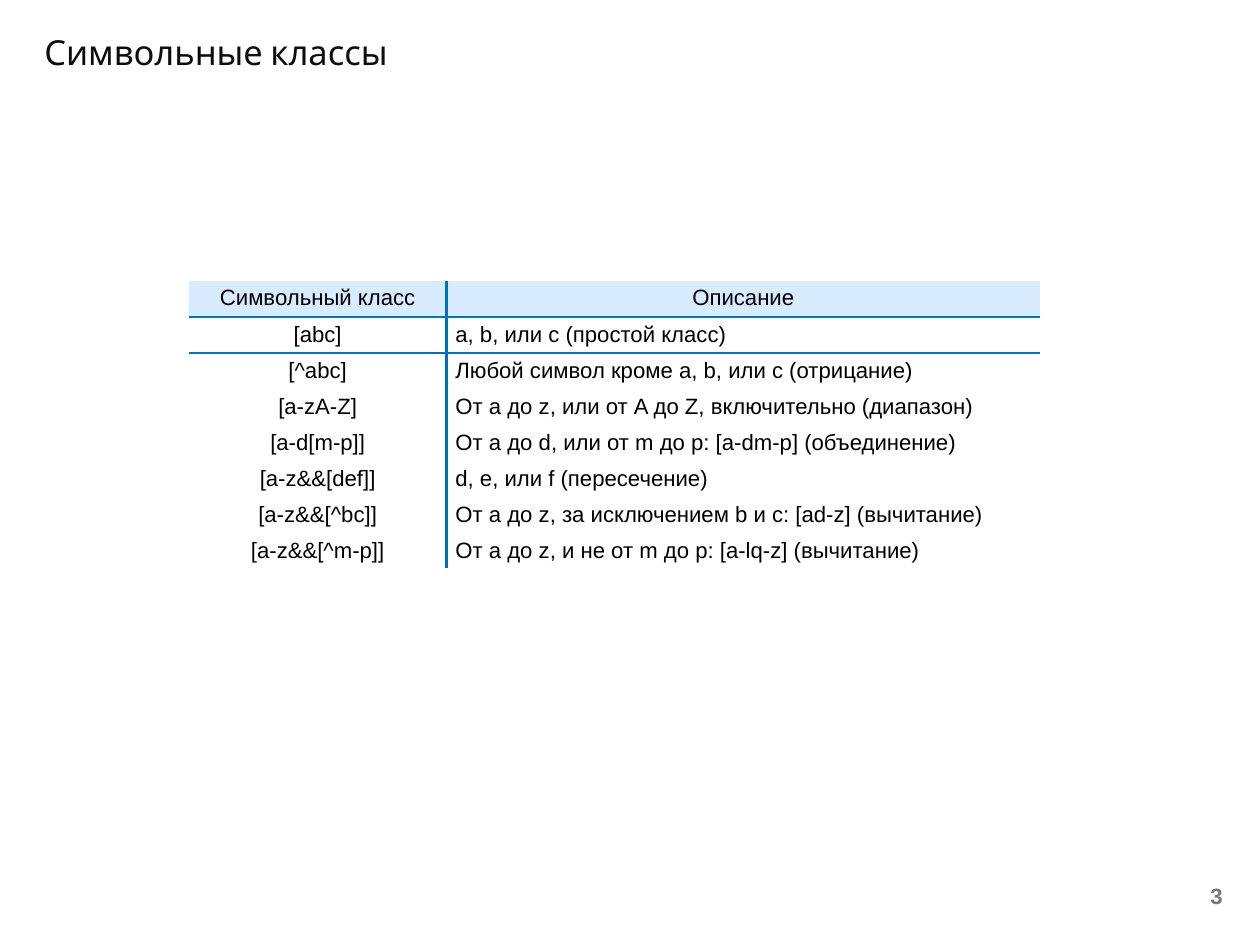
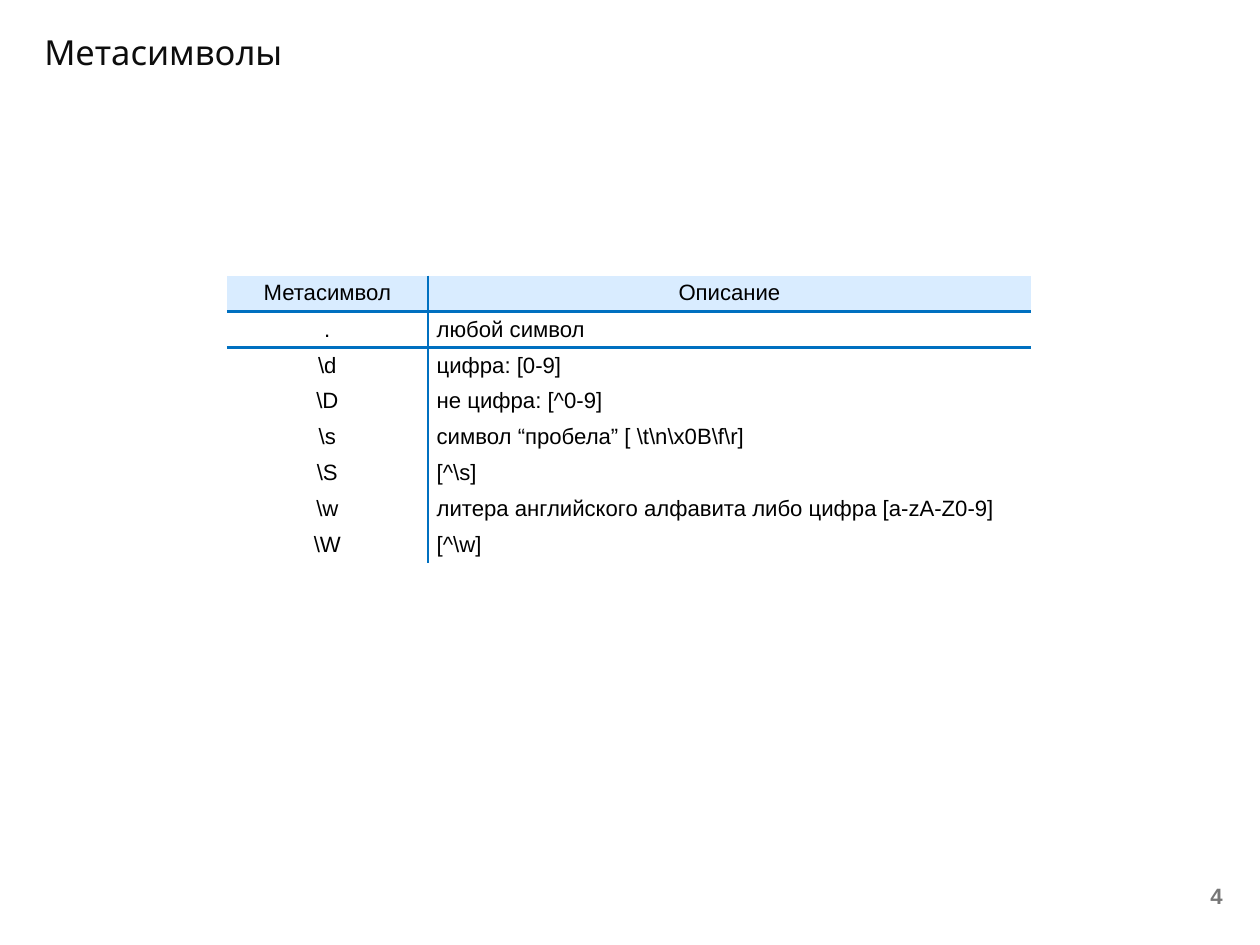
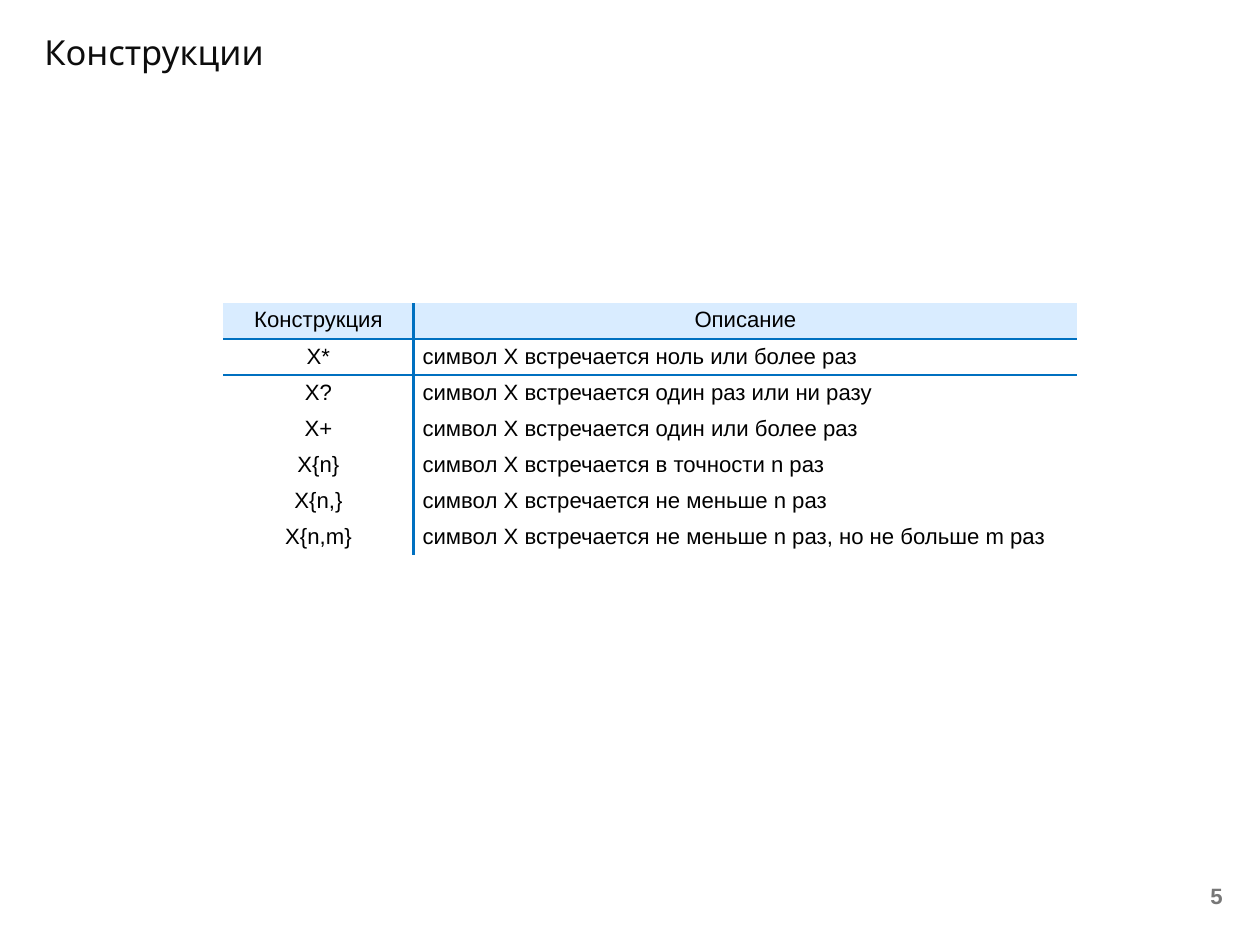
from lxml import etree
from pptx import Presentation
from pptx.dml.color import RGBColor
from pptx.enum.text import MSO_ANCHOR, PP_ALIGN
from pptx.oxml.ns import qn
from pptx.util import Pt

LEFT, CENTER, RIGHT = PP_ALIGN.LEFT, PP_ALIGN.CENTER, PP_ALIGN.RIGHT
TOP, MIDDLE = MSO_ANCHOR.TOP, MSO_ANCHOR.MIDDLE
COLORS = {"title": "0D0D0D", "text": "000000", "number": "777777",
          "header": "D9ECFF", "body": "FFFFFF", "rule": "0070C0"}
TITLE_ONLY = 5
FIRST_NUMBER = 3
ROW_HEIGHT = 29.2
RULE_WIDTH = 2.25
NO_STYLE = "{2D5ABB26-0587-4C30-8999-92F81FD0307C}"

# title, table left and top, column widths, rows with the header first
TOPICS = [
    ("Символьные классы", (153.4, 228.4), (209.5, 482.4), [
        ("Символьный класс", "Описание"),
        ("[abc]", "a, b, или c (простой класс)"),
        ("[^abc]", "Любой символ кроме a, b, или c (отрицание)"),
        ("[a-zA-Z]", "От a до z, или от A до Z, включительно (диапазон)"),
        ("[a-d[m-p]]", "От a до d, или от m до p: [a-dm-p] (объединение)"),
        ("[a-z&&[def]]", "d, e, или f (пересечение)"),
        ("[a-z&&[^bc]]", "От a до z, за исключением b и c: [ad-z] (вычитание)"),
        ("[a-z&&[^m-p]]", "От a до z, и не от m до p: [a-lq-z] (вычитание)"),
    ]),
    ("Метасимволы", (184.3, 223.9), (163.4, 490.3), [
        ("Метасимвол", "Описание"),
        (".", "любой символ"),
        (r"\d", "цифра: [0-9]"),
        (r"\D", "не цифра: [^0-9]"),
        (r"\s", r"символ “пробела” [ \t\n\x0B\f\r]"),
        (r"\S", r"[^\s]"),
        (r"\w", "литера английского алфавита либо цифра [a-zA-Z0-9]"),
        (r"\W", r"[^\w]"),
    ]),
    ("Конструкции", (181.4, 246.4), (154.8, 539.3), [
        ("Конструкция", "Описание"),
        ("X*", "символ X встречается ноль или более раз"),
        ("X?", "символ Х встречается один раз или ни разу"),
        ("X+", "символ Х встречается один или более раз"),
        ("X{n}", "символ Х встречается в точности n раз"),
        ("X{n,}", "символ Х встречается не меньше n раз"),
        ("X{n,m}", "символ Х встречается не меньше n раз, но не больше m раз"),
    ]),
]


def write(frame, text, font, size, color, align, bold=False):
    frame.text = text
    paragraph = frame.paragraphs[0]
    paragraph.alignment = align
    run_font = paragraph.runs[0].font
    run_font.name, run_font.size, run_font.bold = font, Pt(size), bold
    run_font.color.rgb = RGBColor.from_string(COLORS[color])


def rule_cell(cell, edges):
    """Draw a rule on the given cell edges, listed in the order L, R, T, B."""
    properties = cell._tc.get_or_add_tcPr()
    for edge in edges:
        line = etree.SubElement(properties, qn(f"a:ln{edge}"), w=str(Pt(RULE_WIDTH)))
        fill = etree.SubElement(line, qn("a:solidFill"))
        etree.SubElement(fill, qn("a:srgbClr"), val=COLORS["rule"])


prs = Presentation()
prs.slide_width, prs.slide_height = Pt(1024), Pt(768)
layout = prs.slide_layouts[TITLE_ONLY]
layout_title = layout.placeholders[0]
layout_title.left, layout_title.top = Pt(28.8), Pt(21.6)
layout_title.width, layout_title.height = Pt(794), Pt(45.4)
layout_title.text_frame.vertical_anchor = TOP

for number, (title, (left, top), widths, rows) in enumerate(TOPICS, FIRST_NUMBER):
    slide = prs.slides.add_slide(layout)
    write(slide.shapes.title.text_frame, title, "Cabin", 28, "title", LEFT)

    page_number = slide.shapes.add_textbox(Pt(761.8), Pt(709.2), Pt(239), Pt(38.2)).text_frame
    page_number.word_wrap = True
    page_number.vertical_anchor = MIDDLE
    write(page_number, str(number), "Arial", 18, "number", RIGHT, bold=True)

    table = slide.shapes.add_table(len(rows), len(widths), Pt(left), Pt(top),
                                   Pt(sum(widths)), Pt(ROW_HEIGHT * len(rows))).table
    table.horz_banding = False
    table._tbl.tblPr.find(qn("a:tableStyleId")).text = NO_STYLE
    for column, width in zip(table.columns, widths):
        column.width = Pt(width)
    for r, row in enumerate(rows):
        table.rows[r].height = Pt(ROW_HEIGHT)
        is_header = r == 0
        for c, text in enumerate(row):
            cell = table.cell(r, c)
            write(cell.text_frame, text, "Arial", 18, "text",
                  CENTER if is_header or c == 0 else LEFT)
            cell.vertical_anchor = TOP if is_header else MIDDLE
            side = "R" if c == 0 else "L"
            level = {0: "B", 1: "T"}.get(r, "")
            rule_cell(cell, side + level)
            cell.fill.solid()
            cell.fill.fore_color.rgb = RGBColor.from_string(
                COLORS["header" if is_header else "body"])

prs.save("out.pptx")
